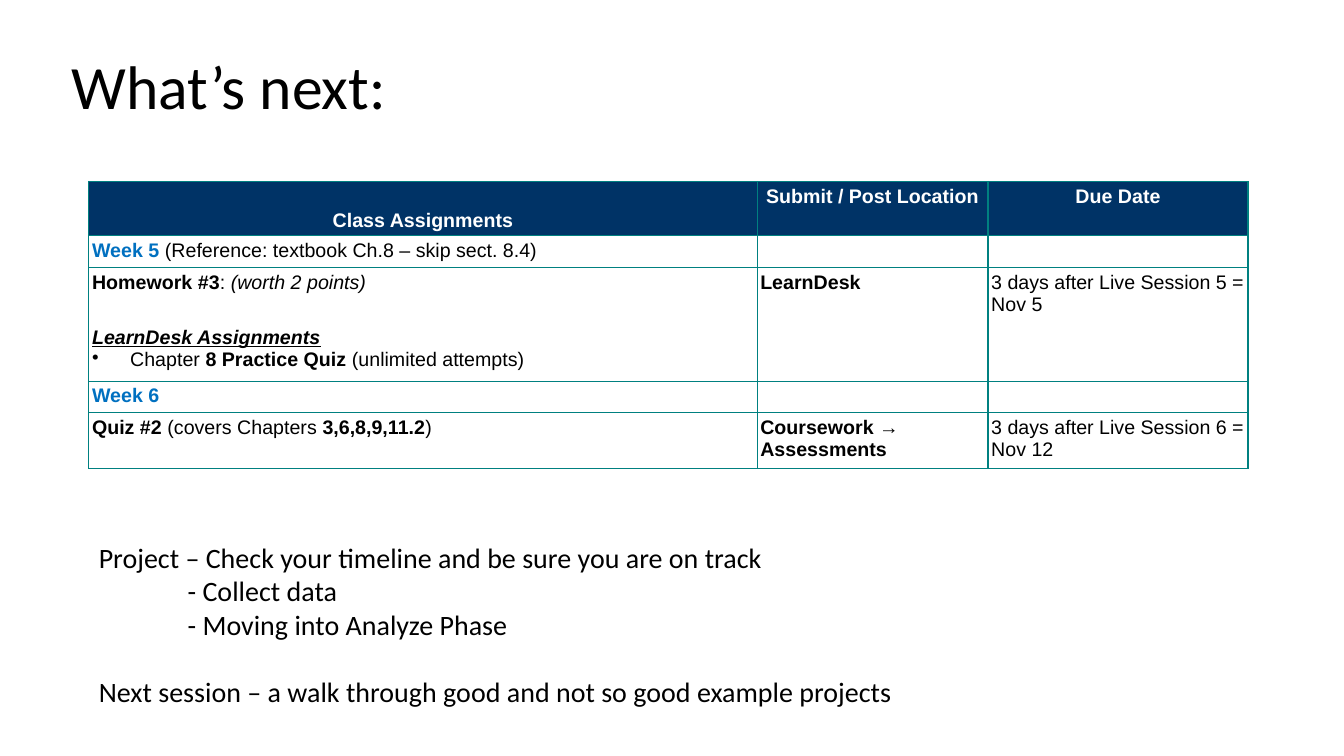
from lxml.etree import SubElement
from pptx import Presentation
from pptx.dml.color import RGBColor
from pptx.enum.text import MSO_ANCHOR, PP_ALIGN
from pptx.oxml.ns import qn
from pptx.util import Cm, Pt

COLORS = {"ink": "000000", "light": "FFFFFF", "navy": "003366", "week": "0070C0", "border": "008080"}

PLAIN = {}
BOLD = {"bold": True}
ITALIC = {"italic": True}
HEADING = {"bold": True, "italic": True, "underline": True}
WEEK = {"bold": True, "color": "week"}
HEADER = {"bold": True, "color": "light"}
CENTERED = {"alignment": PP_ALIGN.CENTER}

# A paragraph is (spans, format values); a span is (text, style).
TITLE = [([("What’s next:", PLAIN)], {"line_spacing": 0.9})]
PROJECT_NOTES = [
    ([("Project – Check your timeline and be sure you are on track", PLAIN)], {}),
    ([("- Collect data", PLAIN)], {"indent": (2.24, 0)}),
    ([("- Moving into Analyze Phase", PLAIN)], {"indent": (2.24, 0)}),
    ([("Next session – a walk through good and not so good example projects", PLAIN)],
     {"space_before": Pt(24)}),
]

# A cell is a list of paragraphs.
HEADER_ROWS = [[
    [([(label, HEADER)], CENTERED)]
    for label in ("Class Assignments", "Submit / Post Location", "Due Date")
]]
ASSIGNMENT_ROWS = [
    [[([("Week 5 ", WEEK), ("(Reference: textbook Ch.8 – skip sect. 8.4)", PLAIN)], {})], [], []],
    [
        [
            ([("Homework #3", BOLD), (": ", PLAIN), ("(worth 2 points)", ITALIC)], {}),
            ([("LearnDesk Assignments", HEADING)], {"space_before": Pt(16), "line_spacing": 1.5}),
            ([("Chapter ", PLAIN), ("8 Practice Quiz", BOLD), (" (unlimited attempts)", PLAIN)],
             {"indent": (0.96, -0.96), "bullet": "•", "space_after": Pt(5)}),
        ],
        [([("LearnDesk", BOLD)], {})],
        [([("3 days after Live Session 5 = Nov 5", PLAIN)], {})],
    ],
    [[([("Week 6", WEEK)], {})], [], []],
    [
        [([("Quiz #2", BOLD), (" (covers Chapters ", PLAIN), ("3,6,8,9,11.2", BOLD), (")", PLAIN)], {})],
        [([("Coursework → Assessments", BOLD)], {})],
        [([("3 days after Live Session 6 = Nov 12", PLAIN)], {})],
    ],
]

TABLE_LEFT, TABLE_TOP = 2.24, 4.57
COLUMN_WIDTHS = (16.84, 5.82, 6.55)
HEADER_HEIGHTS = (1.37,)
ASSIGNMENT_HEIGHTS = (0.75, 2.87, 0.75, 1.4)
CELL_FORMAT = {"margin_left": Cm(0.08), "margin_right": Cm(0.08),
               "margin_top": Cm(0.1), "margin_bottom": Cm(0.1)}


def set_indent(para, left, first, bullet):
    properties = para._p.get_or_add_pPr()
    properties.set("marL", str(Cm(left)))
    properties.set("indent", str(Cm(first)))
    if bullet:
        SubElement(properties, qn("a:buChar"), char=bullet)


def write_paragraphs(frame, paragraphs, font_name, size):
    for index, (spans, formats) in enumerate(paragraphs):
        para = frame.paragraphs[0] if index == 0 else frame.add_paragraph()
        for name, value in formats.items():
            if name not in ("indent", "bullet"):
                setattr(para, name, value)
        if "indent" in formats:
            set_indent(para, *formats["indent"], formats.get("bullet"))
        for text, style in spans:
            span = para.add_run()
            span.text = text
            values = {"name": font_name, "size": Pt(size), **style}
            color = values.pop("color", "ink")
            for name, value in values.items():
                setattr(span.font, name, value)
            span.font.color.rgb = RGBColor.from_string(COLORS[color])


def add_text(page, position, paragraphs, size, anchor):
    box = page.shapes.add_textbox(*map(Cm, position))
    frame = box.text_frame
    frame.word_wrap = True
    frame.vertical_anchor = anchor
    write_paragraphs(frame, paragraphs, "Calibri", size)


def add_borders(cell):
    properties = cell._tc.get_or_add_tcPr()
    for side in ("lnL", "lnR", "lnT", "lnB"):
        line = SubElement(properties, qn(f"a:{side}"), w=str(Pt(1)))
        fill = SubElement(line, qn("a:solidFill"))
        SubElement(fill, qn("a:srgbClr"), val=COLORS["border"])


def add_grid(page, top, heights, rows, fill):
    frame = page.shapes.add_table(
        len(rows), len(COLUMN_WIDTHS), Cm(TABLE_LEFT), Cm(top),
        Cm(sum(COLUMN_WIDTHS)), Cm(sum(heights)))
    table = frame.table
    table.first_row = table.horz_banding = False
    for column, width in zip(table.columns, COLUMN_WIDTHS):
        column.width = Cm(width)
    for row, height, contents in zip(table.rows, heights, rows):
        row.height = Cm(height)
        for cell, paragraphs in zip(row.cells, contents):
            for name, value in CELL_FORMAT.items():
                setattr(cell, name, value)
            add_borders(cell)
            cell.fill.solid()
            cell.fill.fore_color.rgb = RGBColor.from_string(COLORS[fill])
            write_paragraphs(cell.text_frame, paragraphs, "Arial", 14)
            if not paragraphs:
                empty = cell.text_frame.paragraphs[0]._p
                SubElement(empty, qn("a:endParaRPr"), sz="1400")
    return table


def main():
    deck = Presentation()
    deck.slide_width, deck.slide_height = Cm(33.87), Cm(19.05)
    page = deck.slides.add_slide(deck.slide_layouts[6])
    add_text(page, (1.55, 0.41, 29.21, 3.68), TITLE, 44, MSO_ANCHOR.MIDDLE)
    add_text(page, (2.24, 13.49, 23.83, 4.52), PROJECT_NOTES, 20, MSO_ANCHOR.TOP)
    add_grid(page, TABLE_TOP + sum(HEADER_HEIGHTS), ASSIGNMENT_HEIGHTS, ASSIGNMENT_ROWS, "light")
    header = add_grid(page, TABLE_TOP, HEADER_HEIGHTS, HEADER_ROWS, "navy")
    header.cell(0, 0).vertical_anchor = MSO_ANCHOR.BOTTOM
    deck.save("out.pptx")


if __name__ == "__main__":
    main()
